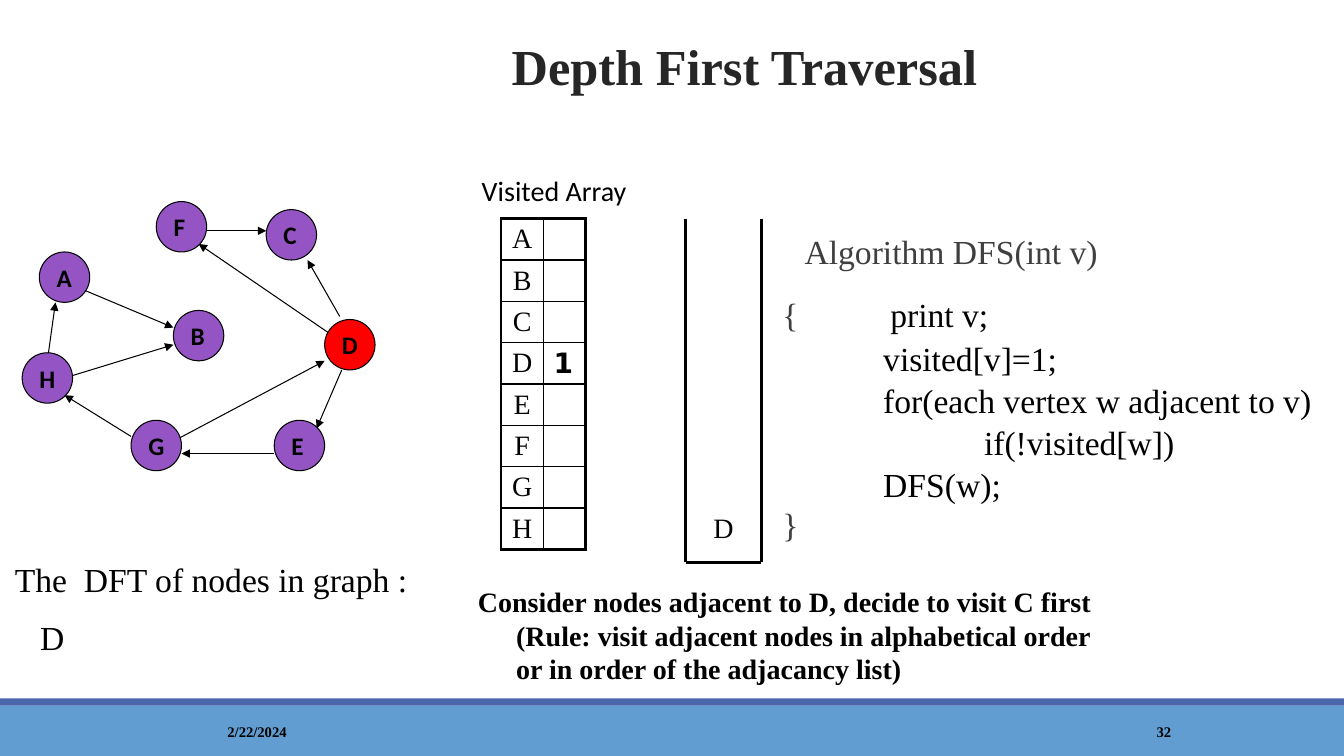
from lxml.etree import SubElement
from pptx import Presentation
from pptx.dml.color import RGBColor
from pptx.enum.shapes import MSO_CONNECTOR, MSO_SHAPE
from pptx.enum.text import MSO_ANCHOR, PP_ALIGN
from pptx.oxml.ns import qn
from pptx.util import Pt

PX = 9144
BLACK = RGBColor(0, 0, 0)
INK = RGBColor(0x26, 0x26, 0x26)
GREY = RGBColor(0x3F, 0x3F, 0x3F)
RED = RGBColor(0xFF, 0, 0)
PURPLE = RGBColor(0x94, 0x54, 0xC3)
SKY = RGBColor(0x62, 0x9D, 0xD1)
BLUE = RGBColor(0x4A, 0x66, 0xAC)
SERIF = "Times New Roman"
SANS = "Calibri"


def style(frame, size, font=SERIF, bold=False, color=BLACK):
    for para in frame.paragraphs:
        for run in para.runs:
            run.font.size = Pt(size)
            run.font.name = font
            run.font.bold = bold
            run.font.color.rgb = color


def draw(ends, width, arrow=False):
    line = shapes.add_connector(MSO_CONNECTOR.STRAIGHT, *(n * PX for n in ends))
    line.line.color.rgb = BLACK
    line.line.width = Pt(width)
    if arrow:
        SubElement(line.line._get_or_add_ln(), qn("a:tailEnd"), type="triangle")
    SubElement(line._element.spPr, qn("a:effectLst"))


deck = Presentation()
deck.slide_width = 1333 * PX
deck.slide_height = 750 * PX
slide = deck.slides.add_slide(deck.slide_layouts[6])
shapes = slide.shapes

for top, height, color in [(700, 50, SKY), (693, 7, BLUE)]:
    band = shapes.add_shape(MSO_SHAPE.RECTANGLE, 0, top * PX, 1333 * PX, height * PX)
    band.shadow.inherit = False
    band.fill.solid()
    band.fill.fore_color.rgb = color
    band.line.fill.background()

edges = [
    (330, 333, 197, 242), (339, 367, 314, 425), (64, 375, 172, 342),
    (164, 442, 322, 358), (47, 358, 55, 300), (72, 283, 172, 325),
    (337, 314, 305, 258), (272, 450, 180, 450), (130, 433, 64, 392),
    (205, 229, 264, 229),
]
for ends in edges:
    draw(ends, 0.75, True)

nodes = {
    "A": (39, 250), "H": (22, 350), "B": (172, 308), "F": (155, 200),
    "E": (272, 417), "D": (322, 317), "C": (264, 208), "G": (130, 417),
}
for name, (left, top) in nodes.items():
    node = shapes.add_shape(MSO_SHAPE.OVAL, left * PX, top * PX, 50 * PX, 50 * PX)
    node.shadow.inherit = False
    node.fill.solid()
    node.fill.fore_color.rgb = RED if name == "D" else PURPLE
    node.line.color.rgb = BLACK
    node.line.width = Pt(0.75)
    node.text_frame.text = name
    node.text_frame.vertical_anchor = MSO_ANCHOR.MIDDLE
    node.text_frame.paragraphs[0].alignment = PP_ALIGN.LEFT
    style(node.text_frame, 18, SANS, True)

names = "ABCDEFGH"
table = shapes.add_table(8, 2, 497 * PX, 217 * PX, 84 * PX, 328 * PX).table
table.first_row = False
table.horz_banding = False
for col in table.columns:
    col.width = 42 * PX
for i, name in enumerate(names):
    table.rows[i].height = 41 * PX
    for j, text in enumerate([name, "1" if name == "D" else ""]):
        cell = table.cell(i, j)
        cell.text = text
        cell.vertical_anchor = MSO_ANCHOR.MIDDLE
        cell.margin_top = cell.margin_bottom = 0
        if j == 0:
            cell.text_frame.paragraphs[0].alignment = PP_ALIGN.CENTER
            style(cell.text_frame, 20)
        else:
            style(cell.text_frame, 20, "DejaVu Sans", True)
        outer = {"L": j == 0, "R": j == 1, "T": i == 0, "B": i == 7}
        for side, thick in outer.items():
            width = Pt(2.25 if thick else 1)
            edge = SubElement(cell._tc.get_or_add_tcPr(), qn("a:ln" + side), w=str(width))
            fill = SubElement(edge, qn("a:solidFill"))
            SubElement(fill, qn("a:srgbClr"), val=str(BLACK))
        cell.fill.background()

for ends in [(680, 217, 680, 558), (755, 217, 755, 558), (680, 558, 755, 558)]:
    draw(ends, 2.25)

LEFT, MID = PP_ALIGN.LEFT, PP_ALIGN.CENTER
HIGH, CORE, LOW = MSO_ANCHOR.TOP, MSO_ANCHOR.MIDDLE, MSO_ANCHOR.BOTTOM
note = ("Consider nodes adjacent to D, decide to visit C first (Rule: visit adjacent "
        "nodes in alphabetical order or in order of the adjacancy list)")
labels = [
    ("Visited Array", (468, 167, 183, 43), 20, SANS, False, BLACK, LEFT, HIGH),
    (note, (464, 575, 632, 111), 20, SERIF, True, BLACK, LEFT, HIGH),
    ("D", (680, 217, 75, 328), 20, SERIF, False, BLACK, MID, LOW),
    ("The  DFT of nodes in graph :\nD", (5, 550, 450, 111), 24, SERIF, False, BLACK, LEFT, HIGH),
    ("Depth First Traversal", (172, 39, 1133, 74), 36, SERIF, True, INK, MID, HIGH),
    ("2/22/2024", (120, 706, 270, 40), 10.5, SERIF, True, BLACK, MID, CORE),
    ("32", (1083, 706, 143, 40), 10.5, SERIF, True, BLACK, MID, CORE),
]
for text, place, size, font, bold, color, align, anchor in labels:
    frame = shapes.add_textbox(*(n * PX for n in place)).text_frame
    frame.word_wrap = True
    frame.vertical_anchor = anchor
    frame.text = text
    for para in frame.paragraphs:
        para.alignment = align
    style(frame, size, font, bold, color)
    first, last = frame.paragraphs[0], frame.paragraphs[-1]
    if text == note:
        props = first._p.get_or_add_pPr()
        props.set("marL", str(38 * PX))
        props.set("indent", str(-38 * PX))
    if last is not first and len(frame.paragraphs) > 1:
        last._p.get_or_add_pPr().set("marL", str(25 * PX))
        last.space_before = Pt(12)
    if size == 36:
        first.line_spacing = 0.85

code = [
    ("Algorithm DFS(int v)", 22, 0, GREY),
    ("{", 0, 16, GREY),
    ("visited[v]=1;", 100, 2, BLACK),
    ("for(each vertex w adjacent to v)", 100, 0, BLACK),
    ("if(!visited[w])", 200, 0, BLACK),
    ("DFS(w);", 100, 0, BLACK),
    ("}", 0, 0, GREY),
]
frame = shapes.add_textbox(776 * PX, 224 * PX, 541 * PX, 318 * PX).text_frame
frame.word_wrap = True
frame.margin_left = frame.margin_right = 0
frame.text = "\n".join(row[0] for row in code)
style(frame, 24)
for para, (text, indent, gap, color) in zip(frame.paragraphs, code):
    props = para._p.get_or_add_pPr()
    props.set("marL", str(indent * PX))
    para.runs[0].font.color.rgb = color
    if gap:
        para.space_before = Pt(gap)
    if color == BLACK:
        para.line_spacing = 1.04
    if text == "{":
        tabs = SubElement(props, qn("a:tabLst"))
        SubElement(tabs, qn("a:tab"), pos=str(107 * PX), algn="l")
        run = para.add_run()
        run.text = "\tprint v;"
        run.font.size = Pt(24)
        run.font.name = SERIF
        run.font.color.rgb = BLACK

deck.save("out.pptx")
